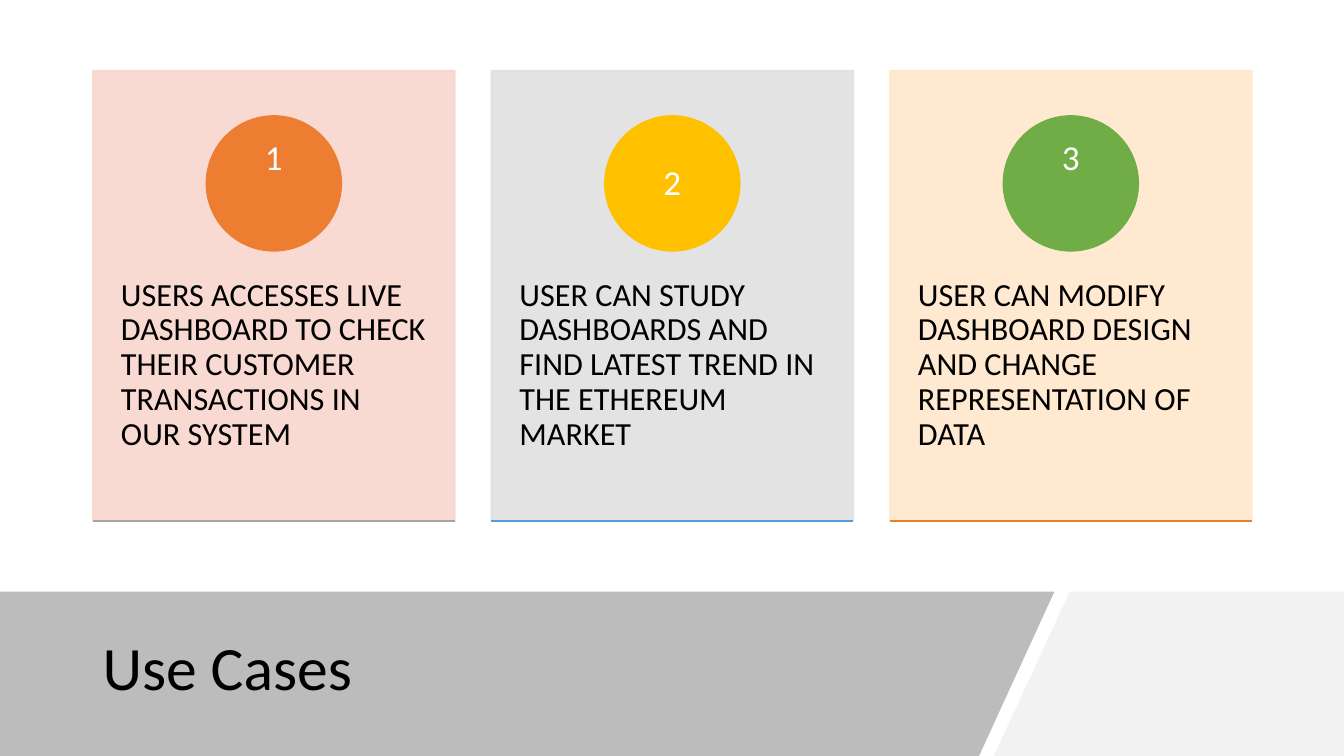
import lxml.etree
import pptx
import pptx.dml.color
import pptx.enum.shapes
import pptx.enum.text
import pptx.oxml.ns
import pptx.util

INK = {
    "black": "000000", "white": "FFFFFF", "band": "595959", "pale": "F2F2F2",
    "rose": "F8D7CE", "mist": "E1E1E1", "cream": "FFE8CC",
    "orange": "ED7D31", "gold": "FFC000", "green": "70AD47",
    "grey": "A5A5A5", "blue": "5B9BD5",
}
KIND = pptx.enum.shapes.MSO_SHAPE
ANCHOR = pptx.enum.text.MSO_ANCHOR
ALIGN = pptx.enum.text.PP_ALIGN
INCH = pptx.util.Inches


class Deck:
    """Draw styled elements on one slide, placed in percent of its size."""

    def __init__(self, wide, high, font):
        self.show = pptx.Presentation()
        self.show.slide_width = INCH(wide)
        self.show.slide_height = INCH(high)
        self.font = font
        self.slide = self.show.slides.add_slide(self.show.slide_layouts[6])
        self.shapes = self.slide.shapes

    def spot(self, x, y):
        return (round(self.show.slide_width * x / 100),
                round(self.show.slide_height * y / 100))

    def tint(self, fill, ink, alpha=100):
        fill.solid()
        fill.fore_color.rgb = pptx.dml.color.RGBColor.from_string(INK[ink])
        if alpha < 100:
            tone = fill._xPr.find("./" + pptx.oxml.ns.qn("a:solidFill"))[0]
            lxml.etree.SubElement(tone, pptx.oxml.ns.qn("a:alpha"), val=str(alpha * 1000))

    def shape(self, kind, box, ink, alpha=100):
        item = self.shapes.add_shape(kind, *self.spot(*box[:2]), *self.spot(*box[2:]))
        item.shadow.inherit = False
        self.tint(item.fill, ink, alpha)
        self.tint(item.line.fill, ink, alpha)
        item.line.width = pptx.util.Pt(1)

    def panel(self, points, ink, alpha=100):
        start, *rest = [self.spot(*point) for point in points]
        pen = self.shapes.build_freeform(*start, scale=1.0)
        pen.add_line_segments(rest, close=True)
        item = pen.convert_to_shape()
        item.shadow.inherit = False
        self.tint(item.fill, ink, alpha)
        item.line.fill.background()

    def rule(self, x, y, width, ink):
        kind = pptx.enum.shapes.MSO_CONNECTOR.STRAIGHT
        item = self.shapes.add_connector(kind, *self.spot(x, y), *self.spot(x + width, y))
        self.tint(item.line.fill, ink)
        item.line.width = pptx.util.Pt(1)
        lxml.etree.SubElement(item._element.spPr, pptx.oxml.ns.qn("a:effectLst"))

    def text(self, words, box, size, ink="black", align=ALIGN.LEFT, **form):
        item = self.shapes.add_textbox(*self.spot(*box[:2]), *self.spot(*box[2:]))
        frame = item.text_frame
        for name, value in {"word_wrap": True, **form}.items():
            setattr(frame, name, value)
        line = frame.paragraphs[0]
        line.alignment = align
        line.line_spacing = 0.9
        run = line.add_run()
        run.text = words
        run.font.name = self.font
        run.font.size = pptx.util.Pt(size)
        self.tint(run.font.fill, ink)


def inset(side, top, base):
    return {"margin_left": INCH(side), "margin_right": INCH(side),
            "margin_top": INCH(top), "margin_bottom": INCH(base)}


LEFT, STEP, WIDE = 6.9, 29.65, 26.95
TOP, BASE = 9.33, 68.9
DISC, LABEL = (10.05, 17.87), (7.1, 12.67)
CARDS = [
    ("USERS ACCESSES LIVE DASHBOARD TO CHECK THEIR CUSTOMER TRANSACTIONS IN OUR SYSTEM",
     "rose", "orange", "grey", 0.51),
    ("USER CAN STUDY DASHBOARDS AND FIND LATEST TREND IN THE ETHEREUM MARKET",
     "mist", "gold", "blue", 0.01),
    ("USER CAN MODIFY DASHBOARD DESIGN AND CHANGE REPRESENTATION OF DATA",
     "cream", "green", "orange", 0.51),
]


def main():
    deck = Deck(13.33, 7.5, "Calibri")
    deck.panel([(79.6, 78.27), (100, 78.27), (100, 100), (73.95, 100)], "pale")
    deck.panel([(0, 78.27), (78.45, 78.27), (72.85, 100), (0, 100)], "band", 40)
    deck.text("Use Cases", (LEFT, 80.67, 73.1, 16), 44, vertical_anchor=ANCHOR.MIDDLE)
    for index, (words, back, disc, edge, base) in enumerate(CARDS):
        x = LEFT + index * STEP
        mid = x + WIDE / 2
        deck.shape(KIND.RECTANGLE, (x, TOP, WIDE, BASE - TOP), back, 90)
        deck.text(words, (x, 32, WIDE, 35.73), 23, **inset(0.28, 0.36, 0.36))
        deck.shape(KIND.OVAL, (mid - DISC[0] / 2, 15.33, *DISC), disc)
        deck.text(str(index + 1), (mid - LABEL[0] / 2, 18, *LABEL), 25, "white",
                  ALIGN.CENTER, vertical_anchor=ANCHOR.MIDDLE, **inset(0.1, 0.01, base))
        deck.rule(x, BASE, WIDE, edge)
    deck.show.save("out.pptx")


if __name__ == "__main__":
    main()
